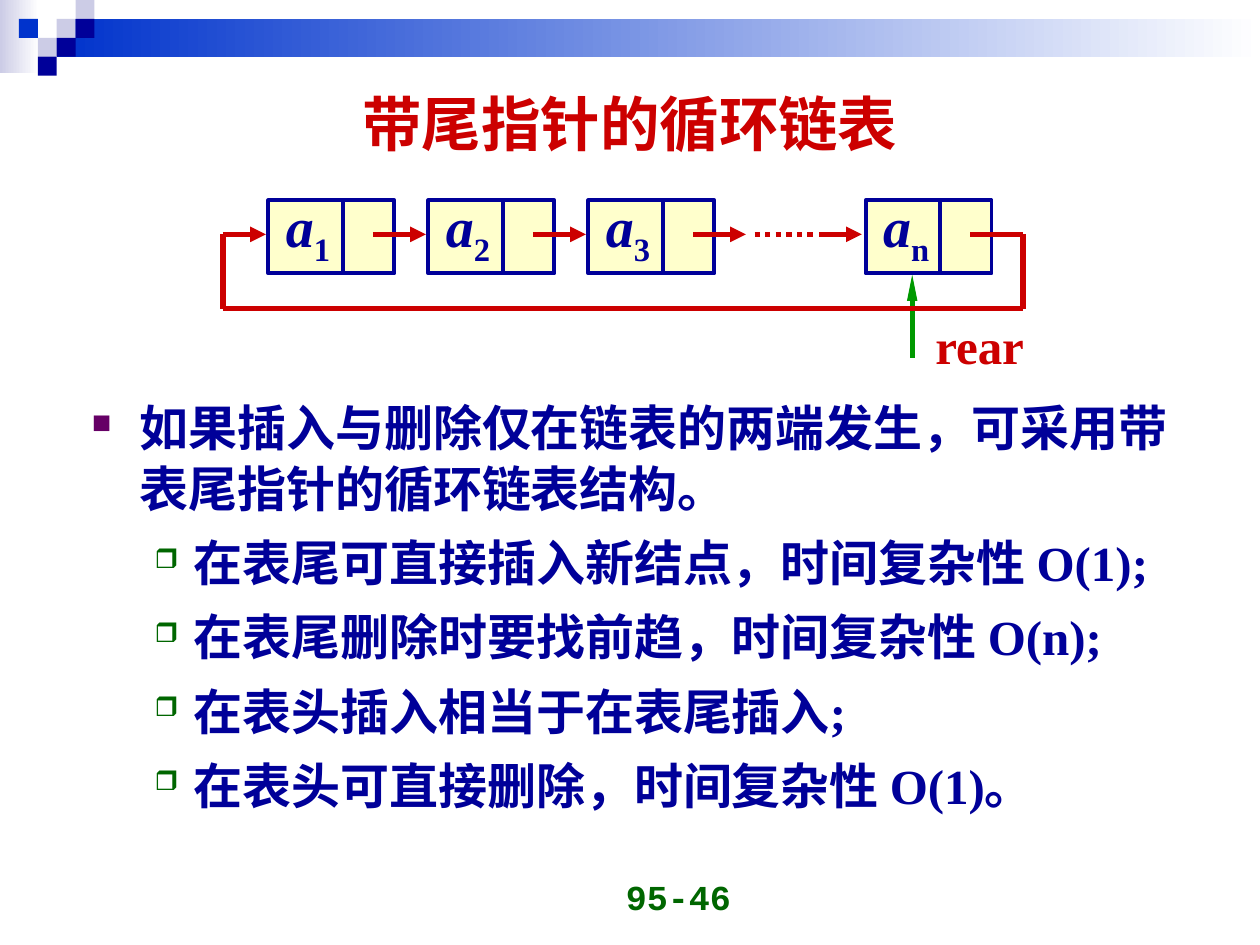
from dataclasses import dataclass

from lxml import etree
from pptx import Presentation
from pptx import util as u
from pptx.dml.color import RGBColor
from pptx.enum import dml, shapes, text
from pptx.oxml import ns

In = u.Inches


@dataclass(frozen=True)
class Theme:
    navy: str = "000099"
    blue: str = "0033CC"
    pale: str = "CCCCE6"
    white: str = "FFFFFF"
    red: str = "CC0000"
    cream: str = "FFFFCC"
    green: str = "009900"
    dark: str = "006600"
    plum: str = "660066"
    serif: str = "Times New Roman"
    mono: str = "Courier New"
    head: int = 34
    node: int = 32
    body: int = 28
    page: int = 20
    edge: float = 2.25
    link: float = 3


T = Theme()
ALIGN = text.PP_ALIGN
ANCHOR = text.MSO_ANCHOR


def rgb(code):
    return RGBColor.from_string(code)


def sub(parent, tag, **attrs):
    return etree.SubElement(parent, ns.qn(tag), attrs)


def add_run(para, words, size, color, font=T.serif, italic=False, base=None):
    run = para.add_run()
    run.text = words
    f = run.font
    f.name, f.size, f.bold, f.italic = font, u.Pt(size), True, italic
    f.color.rgb = rgb(color)
    if base:
        run._r.get_or_add_rPr().set("baseline", str(base * 1000))


def add_box(slide, x, y, w, h, anchor=ANCHOR.TOP, align=ALIGN.LEFT):
    """Add a text box; return its frame and its first paragraph."""
    frame = slide.shapes.add_textbox(In(x), In(y), In(w), In(h)).text_frame
    frame.word_wrap = True
    frame.vertical_anchor = anchor
    para = frame.paragraphs[0]
    para.alignment = align
    return frame, para


def add_rect(slide, x, y, w, h, fill, fade=False, edge=None):
    rect = slide.shapes.add_shape(
        shapes.MSO_SHAPE.RECTANGLE, In(x), In(y), In(w), In(h))
    rect.shadow.inherit = False
    if fade:
        rect.fill.gradient()
        rect.fill.gradient_angle = 0
        for stop, color in zip(rect.fill.gradient_stops, (fill, T.white)):
            stop.color.rgb = rgb(color)
    else:
        rect.fill.solid()
        rect.fill.fore_color.rgb = rgb(fill)
    if edge:
        rect.line.color.rgb = rgb(edge)
        rect.line.width = u.Pt(T.edge)
    else:
        rect.line.fill.background()


def add_line(slide, x1, y1, x2, y2, color=T.red, width=T.link,
             arrow=None, dots=False):
    """Add a line; arrow is the (width, length) of the head at its end."""
    line = slide.shapes.add_connector(
        shapes.MSO_CONNECTOR.STRAIGHT, In(x1), In(y1), In(x2), In(y2))
    sub(line._element.spPr, "a:effectLst")
    line.line.color.rgb = rgb(color)
    line.line.width = u.Pt(width)
    if dots:
        line.line.dash_style = dml.MSO_LINE.ROUND_DOT
    if arrow:
        sub(line.line._get_or_add_ln(), "a:tailEnd",
            type="triangle", w=arrow[0], len=arrow[1])


def add_banner(slide, x, y, w):
    add_rect(slide, x, y, 0.31, 0.58, T.pale, fade=True)
    add_rect(slide, x + 0.45, y + 0.15, w - 0.45, 0.3, T.blue, fade=True)
    side = 0.15
    tiles = [(3, 1, T.pale), (4, 0, T.pale), (4, 1, T.navy), (2, 2, T.pale),
             (1, 1, T.blue), (3, 2, T.navy), (2, 3, T.navy)]
    for col, row, color in tiles:
        add_rect(slide, x + col * side, y + row * side, side, side, color)


def add_title(slide, x, y, w, h):
    _, para = add_box(slide, x, y, w, h, ANCHOR.MIDDLE, ALIGN.CENTER)
    add_run(para, "带尾指针的循环链表", T.head, T.red)


def add_node(slide, x, y, index, last):
    add_rect(slide, x, y, 1, 0.58, T.cream, edge=T.navy)
    add_line(slide, x + 0.59, y, x + 0.59, y + 0.58, T.navy, T.edge)
    _, para = add_box(slide, x + 0.04, y - 0.12, 0.65, 0.71)
    add_run(para, "a", T.node, T.navy, italic=True)
    add_run(para, index, T.node, T.navy, base=-25)
    add_line(slide, x + 0.83, y + 0.27, x + 1.25, y + 0.27,
             arrow=None if last else ("med", "med"))


def add_ring(slide, x, y, w):
    """Draw the circular list; x and w span its return path."""
    mid, low, end = y + 0.27, y + 0.86, x + w
    head = ("med", "med")
    add_line(slide, x + 5.47, y + 1.25, x + 5.47, y + 0.59, T.green,
             arrow=("sm", "lg"))
    for start, index in ((0.36, "1"), (1.63, "2"), (2.9, "3"), (5.1, "n")):
        add_node(slide, x + start, y, index, index == "n")
    add_line(slide, x + 4.22, mid, x + 4.72, mid, dots=True)
    add_line(slide, x + 4.73, mid, x + 5.07, mid, arrow=head)
    add_line(slide, x, mid, x + 0.34, mid, arrow=head)
    add_line(slide, x, mid, x, low)
    add_line(slide, x, low, end, low)
    add_line(slide, end, mid, end, low)
    _, para = add_box(slide, x + 5.5, low, 1.01, 0.57,
                      ANCHOR.MIDDLE, ALIGN.CENTER)
    add_run(para, "rear", T.body, T.red)


def set_bullet(para, mark, color, left, hang):
    props = para._p.get_or_add_pPr()
    props.set("marL", str(In(left)))
    props.set("indent", str(-In(hang)))
    sub(sub(props, "a:buClr"), "a:srgbClr", val=color)
    sub(props, "a:buSzPct", val="55000")
    sub(props, "a:buChar", char=mark)


def add_body(slide, x, y, w, h):
    frame, para = add_box(slide, x, y, w, h)
    items = ["如果插入与删除仅在链表的两端发生，可采用带表尾指针的循环链表结构。",
             "在表尾可直接插入新结点，时间复杂性 O(1);",
             "在表尾删除时要找前趋，时间复杂性 O(n);",
             "在表头插入相当于在表尾插入;",
             "在表头可直接删除，时间复杂性 O(1)。"]
    for i, words in enumerate(items):
        if i:
            para = frame.add_paragraph()
            para.level = 1
            para.space_before = u.Pt(7)
            set_bullet(para, "❒", T.dark, 0.81, 0.31)
        else:
            set_bullet(para, "■", T.plum, 0.38, 0.38)
        para.line_spacing = 1.05
        add_run(para, words, T.body, T.navy)


def add_page(slide, x, y, w, h):
    _, para = add_box(slide, x, y, w, h, ANCHOR.BOTTOM, ALIGN.RIGHT)
    add_run(para, "95-46", T.page, T.dark, T.mono)


def main():
    deck = Presentation()
    deck.slide_width, deck.slide_height = In(10), In(7.5)
    slide = deck.slides.add_slide(deck.slide_layouts[6])
    add_banner(slide, 0, 0, 10)
    add_page(slide, 3.57, 6.83, 2.33, 0.5)
    add_title(slide, 0.75, 0.6, 8.5, 0.75)
    add_ring(slide, 1.77, 1.59, 6.35)
    add_body(slide, 0.63, 3.08, 9, 3.62)
    deck.save("out.pptx")


if __name__ == "__main__":
    main()
